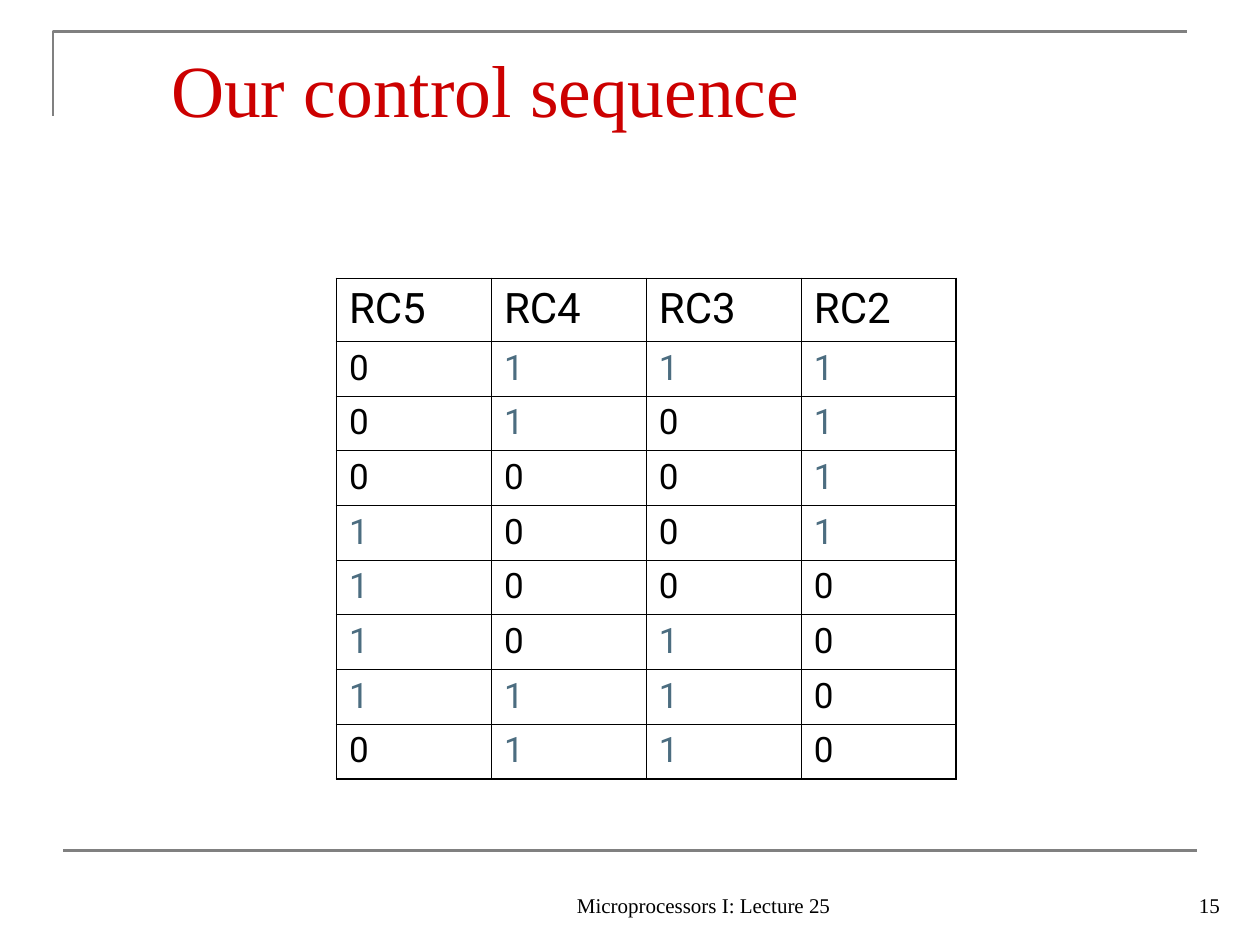
"""Build the control sequence slide."""
from lxml.etree import SubElement
from pptx import Presentation
from pptx.dml.color import RGBColor as RGB
from pptx.enum.shapes import MSO_CONNECTOR as CONN
from pptx.enum.text import MSO_ANCHOR as ANCHOR, PP_ALIGN as ALIGN
from pptx.oxml import parse_xml
from pptx.oxml.ns import nsdecls, qn
from pptx.util import Inches, Pt

TITLE = "Our control sequence"
FOOTERS = [
    ("Microprocessors I: Lecture 25", (4, 6.83, 3.17, 0.5), ALIGN.CENTER),
    ("15", (7.7, 6.83, 2.08, 0.5), ALIGN.RIGHT),
]
HEADER = ["RC5", "RC4", "RC3", "RC2"]
STEPS = ["0111", "0101", "0001", "1001", "1000", "1010", "1110", "0110"]
ROWS = [HEADER] + [list(step) for step in STEPS]

THEME = {
    "serif": "Times New Roman", "sans": "Roboto",
    "title": "CC0000", "text": "000000", "one": "4C6D80", "rule": "808080",
    "title_size": 42, "header_size": 24, "bit_size": 20, "footer_size": 12,
    "rule_width": 1.5, "outer": 1.08, "inner": 0.45,
}
TABLE = (2.67, 2.21, 4.92, 3.97)
HEADER_HEIGHT = 0.5


def write(tf, text, size, color="text", font="serif", align=ALIGN.LEFT, anchor=ANCHOR.TOP):
    tf.word_wrap = True
    tf.vertical_anchor = anchor
    p = tf.paragraphs[0]
    p.alignment = align
    r = p.add_run()
    r.text = text
    r.font.name = THEME[font]
    r.font.size = Pt(THEME[size])
    r.font.color.rgb = RGB.from_string(THEME[color])


def add_text(s, text, box, size, **fmt):
    tf = s.shapes.add_textbox(*map(Inches, box)).text_frame
    write(tf, text, size, **fmt)
    return tf


def style_rule(sp):
    sp.line.color.rgb = RGB.from_string(THEME["rule"])
    sp.line.width = Pt(THEME["rule_width"])


def add_frame(s):
    fb = s.shapes.build_freeform(Inches(0.42), Inches(0.92), scale=1.0)
    fb.add_line_segments([(Inches(0.42), Inches(0.25)), (Inches(9.42), Inches(0.25))], close=False)
    corner = fb.convert_to_shape()
    corner.shadow.inherit = False
    corner.fill.background()
    style_rule(corner)
    rule = s.shapes.add_connector(CONN.STRAIGHT, *map(Inches, (0.5, 6.75, 9.5, 6.75)))
    SubElement(rule._element.spPr, qn("a:effectLst"))
    style_rule(rule)


def set_borders(cell, row, col):
    edges = {"L": col == 0, "R": col == len(HEADER) - 1,
             "T": row == 0, "B": row == len(ROWS) - 1}
    tc_pr = cell._tc.get_or_add_tcPr()
    for i, (side, is_outer) in enumerate(edges.items()):
        width = Pt(THEME["outer" if is_outer else "inner"])
        tc_pr.insert(i, parse_xml(
            f'<a:ln{side} {nsdecls("a")} w="{width}"><a:solidFill>'
            f'<a:srgbClr val="{THEME["text"]}"/></a:solidFill></a:ln{side}>'))


def add_sequence(s):
    x, y, w, h = TABLE
    table = s.shapes.add_table(len(ROWS), len(HEADER), *map(Inches, TABLE)).table
    table.first_row = table.horz_banding = False
    for column in table.columns:
        column.width = Inches(w / len(HEADER))
    for i, values in enumerate(ROWS):
        table.rows[i].height = Inches(HEADER_HEIGHT if i == 0 else (h - HEADER_HEIGHT) / len(STEPS))
        for j, value in enumerate(values):
            cell = table.cell(i, j)
            write(cell.text_frame, value, "bit_size" if i else "header_size",
                  color="one" if value == "1" else "text", font="sans")
            cell.fill.background()
            set_borders(cell, i, j)


def main():
    prs = Presentation()
    prs.slide_width, prs.slide_height = Inches(10), Inches(7.5)
    s = prs.slides.add_slide(prs.slide_layouts[6])
    add_frame(s)
    for text, box, align in FOOTERS:
        add_text(s, text, box, "footer_size", align=align, anchor=ANCHOR.BOTTOM)
    title = add_text(s, TITLE, (1.26, 0.23, 8.52, 1.6), "title_size", color="title")
    title.margin_top = Inches(0.12)
    add_sequence(s)
    prs.save("out.pptx")


if __name__ == "__main__":
    main()
